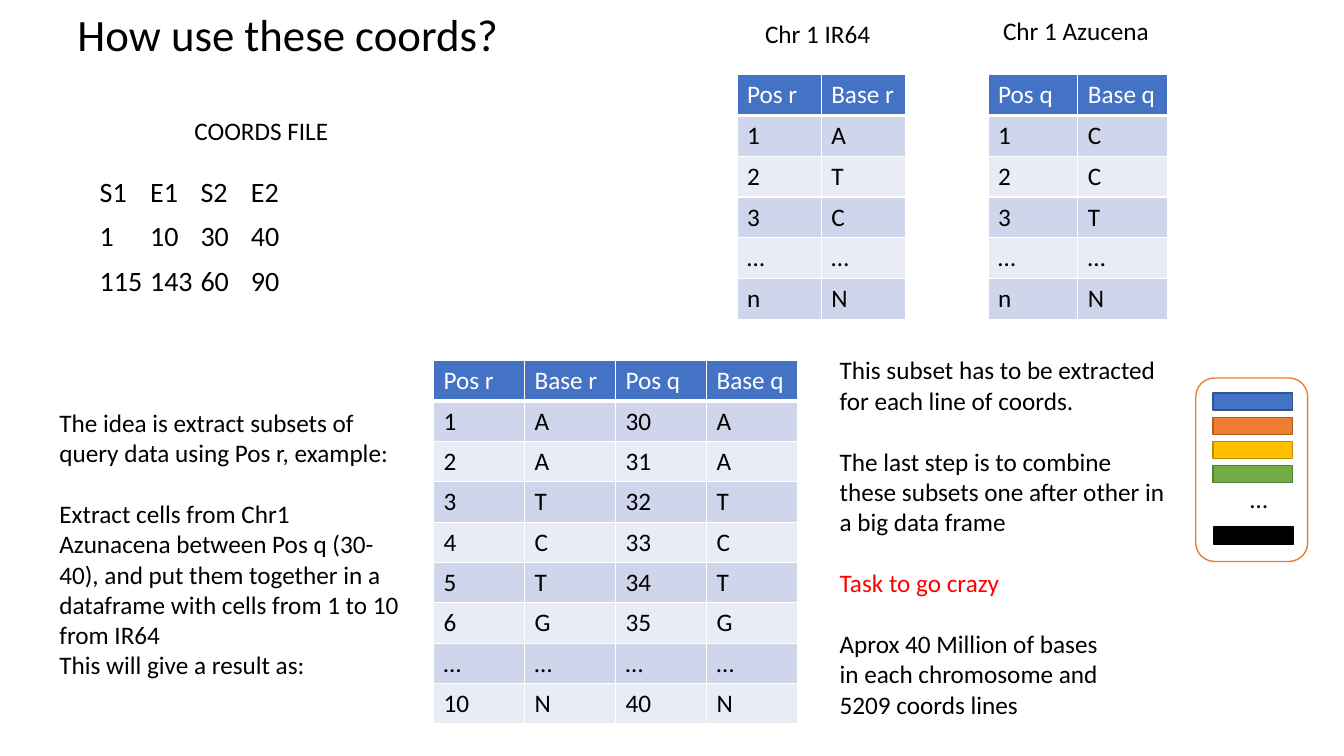
from dataclasses import dataclass

from lxml.etree import SubElement
from pptx import Presentation
from pptx.dml.color import RGBColor
from pptx.enum.shapes import MSO_SHAPE as SHAPE
from pptx.enum.text import MSO_ANCHOR as ANCHOR
from pptx.oxml.ns import qn
from pptx.util import Pt

PX = 9144


@dataclass(frozen=True)
class Theme:
    font: str = "Calibri"
    title: int = 32
    coords: int = 20
    body: int = 18
    blank_line: int = 22
    black: str = "000000"
    white: str = "FFFFFF"
    red: str = "FF0000"
    header: str = "4472C4"
    bands: tuple[str, str] = ("CFD5EA", "E9EBF5")
    frame: str = "ED7D31"


THEME = Theme()


@dataclass(frozen=True)
class Box:
    x: int
    y: int
    w: int
    h: int

    def emu(self) -> tuple[int, int, int, int]:
        return self.x * PX, self.y * PX, self.w * PX, self.h * PX


@dataclass(frozen=True)
class Para:
    text: str
    before: int = 0
    color: str = THEME.black


@dataclass(frozen=True)
class Text:
    box: Box
    paras: tuple[Para, ...]
    size: int = THEME.body
    spacing: float = 1.0
    anchor: ANCHOR = ANCHOR.TOP


@dataclass(frozen=True)
class Table:
    box: Box
    rows: tuple[str, ...]


@dataclass(frozen=True)
class Block:
    box: Box
    fill: str
    line: str
    kind: SHAPE = SHAPE.RECTANGLE


GAP = THEME.blank_line

TEXTS = (
    Text(Box(67, 0, 1150, 73), (Para("How use these coords?"),), THEME.title, 0.9, ANCHOR.MIDDLE),
    Text(Box(183, 109, 387, 40), (Para("COORDS FILE"),)),
    Text(Box(749, 13, 160, 42), (Para("Chr 1 IR64"),)),
    Text(Box(985, 10, 168, 40), (Para("Chr 1 Azucena"),)),
    Text(
        Box(89, 172, 378, 163),
        tuple(Para(t, 10) for t in ("S1\tE1\tS2\tE2", "1\t10\t30\t40", "115\t143\t60\t90")),
        THEME.coords,
        0.9,
    ),
    Text(Box(49, 399, 361, 313), (
        Para("The idea is extract subsets of query data using Pos r, example:"),
        Para("Extract cells from Chr1 Azunacena between Pos q (30-40), and put them "
             "together in a dataframe with cells from 1 to 10 from IR64", GAP),
        Para("This will give a result as:"),
    )),
    Text(Box(823, 347, 350, 403), (
        Para("This subset has to be extracted for each line of coords."),
        Para("The last step is to combine these subsets one after other in a big data frame", GAP),
        Para("Task to go crazy", GAP, THEME.red),
        Para("Aprox 40 Million of bases", GAP),
        Para("in each chromosome and"),
        Para("5209 coords lines"),
    )),
    Text(Box(1230, 475, 43, 40), (Para("…"),)),
)

TABLES = (
    Table(Box(731, 74, 167, 243), ("Pos r|Base r", "1|A", "2|T", "3|C", "…|…", "n|N")),
    Table(Box(980, 74, 178, 243), ("Pos q|Base q", "1|C", "2|C", "3|T", "…|…", "n|N")),
    Table(Box(430, 358, 361, 360), (
        "Pos r|Base r|Pos q|Base q", "1|A|30|A", "2|A|31|A", "3|T|32|T", "4|C|33|C",
        "5|T|34|T", "6|G|35|G", "…|…|…|…", "10|N|40|N",
    )),
)

SUBSET_COLORS = (
    ("4472C4", "325491"), ("ED7D31", "AF5C24"), ("FFC000", "BD8E00"), ("70AD47", "538035"),
)

BLOCKS = (
    Block(Box(1186, 375, 111, 182), THEME.white, THEME.frame, SHAPE.ROUNDED_RECTANGLE),
    *(Block(Box(1203, 390 + 24 * i, 79, 17), *c) for i, c in enumerate(SUBSET_COLORS)),
    Block(Box(1204, 523, 79, 17), THEME.black, THEME.black),
)


def style(p, size: int, color: str) -> None:
    p.font.name = THEME.font
    p.font.size = Pt(size)
    p.font.color.rgb = RGBColor.from_string(color)


def draw_text(shapes, text: Text) -> None:
    tf = shapes.add_textbox(*text.box.emu()).text_frame
    tf.word_wrap = True
    tf.vertical_anchor = text.anchor
    for i, para in enumerate(text.paras):
        p = tf.add_paragraph() if i else tf.paragraphs[0]
        p.text = para.text
        p.line_spacing = text.spacing
        p.space_before = Pt(para.before)
        style(p, text.size, para.color)


def draw_borders(cell, bottom: int) -> None:
    tc_pr = cell._tc.get_or_add_tcPr()
    for side, width in (("L", 1), ("R", 1), ("T", 1), ("B", bottom)):
        ln = SubElement(tc_pr, qn(f"a:ln{side}"), w=str(Pt(width)))
        SubElement(SubElement(ln, qn("a:solidFill")), qn("a:srgbClr"), val=THEME.white)


def draw_table(shapes, table: Table) -> None:
    cells = [row.split("|") for row in table.rows]
    tbl = shapes.add_table(len(cells), len(cells[0]), *table.box.emu()).table
    tbl.first_row = tbl.horz_banding = False
    for i, row in enumerate(cells):
        for j, value in enumerate(row):
            cell = tbl.cell(i, j)
            cell.margin_top, cell.margin_bottom = 5 * PX, 4 * PX
            cell.text = value
            style(cell.text_frame.paragraphs[0], THEME.body, THEME.black if i else THEME.white)
            draw_borders(cell, 1 if i else 3)
            cell.fill.solid()
            fill = THEME.bands[(i - 1) % 2] if i else THEME.header
            cell.fill.fore_color.rgb = RGBColor.from_string(fill)


def draw_block(shapes, block: Block) -> None:
    sp = shapes.add_shape(block.kind, *block.box.emu())
    sp.shadow.inherit = False
    sp.fill.solid()
    sp.fill.fore_color.rgb = RGBColor.from_string(block.fill)
    sp.line.color.rgb = RGBColor.from_string(block.line)
    sp.line.width = Pt(1)


def main() -> None:
    """Build the slide on extracting and combining subsets by coords."""
    prs = Presentation()
    prs.slide_width, prs.slide_height = 1333 * PX, 750 * PX
    shapes = prs.slides.add_slide(prs.slide_layouts[6]).shapes
    for block in BLOCKS:
        draw_block(shapes, block)
    for table in TABLES:
        draw_table(shapes, table)
    for text in TEXTS:
        draw_text(shapes, text)
    prs.save("out.pptx")


if __name__ == "__main__":
    main()
